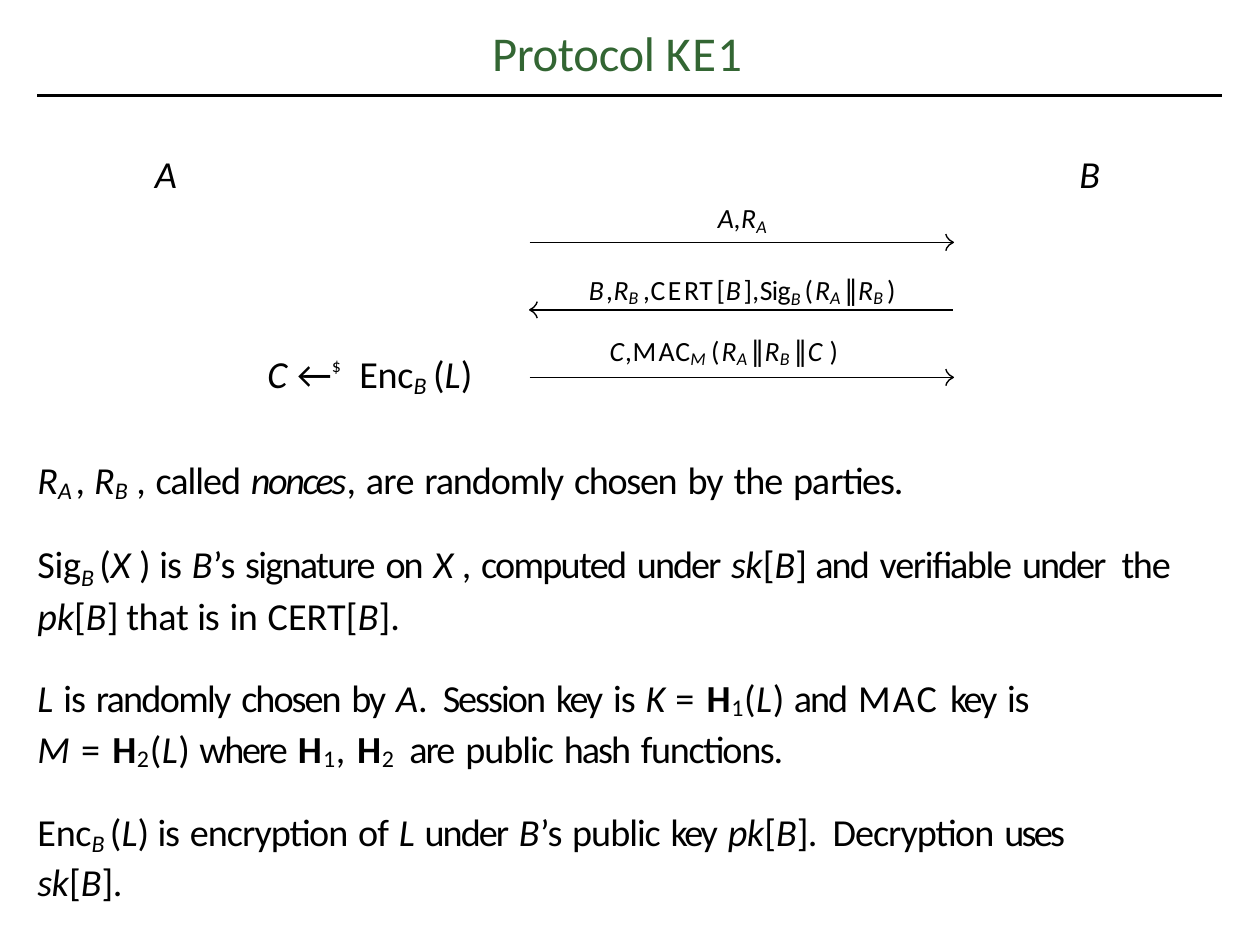
from itertools import groupby

from pptx import Presentation
from pptx.dml.color import RGBColor
from pptx.enum.shapes import MSO_CONNECTOR
from pptx.enum.text import PP_ALIGN
from pptx.oxml.ns import qn
from pptx.util import Inches, Pt
from lxml.etree import SubElement

COLORS = {"title": "336633", "ink": "000000"}
# style letter: (baseline shift in percent, size change in points)
SHIFTS = {"n": (-10, 1), "s": (-14, 1), "d": (-18, 1), "u": (51, -2)}
WORD_GAP = 0.3  # letter spacing of the spaces between tightened words

presentation = Presentation()
presentation.slide_width = Pt(363)
presentation.slide_height = Pt(272.5)
slide = presentation.slides.add_slide(presentation.slide_layouts[6])
unit = Inches(0.01)  # grid step for columns and rows


def add_text(box, size, paragraphs, color="ink", indent=1, inset=1, align=PP_ALIGN.LEFT):
    """Add a text box; a paragraph is (space before, line spacing, runs) and a run is
    (text, letter spacing, style letters: i italic, b bold, or a key of SHIFTS)."""
    frame = slide.shapes.add_textbox(*[round(length * unit) for length in box]).text_frame
    layout = {"word_wrap": True, "margin_left": indent * unit, "margin_top": inset * unit,
              "margin_right": 0, "margin_bottom": 0}
    for name, value in layout.items():
        setattr(frame, name, value)
    for index, (before, line_spacing, runs) in enumerate(paragraphs):
        paragraph = frame.add_paragraph() if index else frame.paragraphs[0]
        paragraph.alignment = align
        paragraph.space_before = Pt(before)
        paragraph.line_spacing = line_spacing
        for text, spacing, *style in runs:
            letters = style[0] if style else ""
            shift, growth = next((SHIFTS[key] for key in letters if key in SHIFTS), (0, 0))
            formats = {"name": "Calibri", "size": Pt(size + growth),
                       "italic": "i" in letters, "bold": "b" in letters}
            for is_gap, characters in groupby(text, str.isspace):
                run = paragraph.add_run()
                run.text = "".join(characters)
                for name, value in formats.items():
                    setattr(run.font, name, value)
                run.font.color.rgb = RGBColor.from_string(COLORS[color])
                run_spacing = WORD_GAP if is_gap and spacing <= -0.2 else spacing
                properties = run._r.get_or_add_rPr()
                properties.set("spc", str(round(run_spacing * 100)))
                if shift:
                    properties.set("baseline", str(shift * 1000))


def add_line(start, end, row, weight):
    line = slide.shapes.add_connector(
        MSO_CONNECTOR.STRAIGHT, *[round(n * unit) for n in (start, row, end, row)])
    line.line.width = Pt(weight)
    line.line.color.rgb = RGBColor.from_string(COLORS["ink"])
    SubElement(line._element.spPr, qn("a:effectLst"))


# Title and rule
add_text((196, 6, 113, 25), 14, [(0, 1, [("Protocol ", -0.1), ("KE1", 0.4)])],
         color="title", inset=3)
add_line(15, 489, 38.2, 1)

# Parties
for party, left in (("A", 61), ("B", 431)):
    add_text((left, 59, 13, 20), 11, [(0, 1, [(party, -0.1, "i")])])

# Message arrows, each with a curved open head
arrow_left, arrow_right, first_row, row_step = 212, 381.5, 97, 27
barb = [(-3, -3.3), (-2.6, -2.2), (-1.6, -1), (0, 0)]
head_curve = barb + [(x, -y) for x, y in reversed(barb[:-1])]
for index, direction in enumerate((1, -1, 1)):
    row = first_row + index * row_step
    add_line(arrow_left, arrow_right, row, 0.4)
    tip = arrow_right if direction > 0 else arrow_left
    points = [(round((tip + direction * x) * unit), round((row + y) * unit))
              for x, y in head_curve]
    builder = slide.shapes.build_freeform(*points[0])
    builder.add_line_segments(points[1:], close=False)
    head = builder.convert_to_shape()
    head.shadow.inherit = False
    head.fill.background()
    head.line.width = Pt(0.4)
    head.line.color.rgb = RGBColor.from_string(COLORS["ink"])

# Message labels
nonce_pair = [("(", 0.6), ("R", -0.3, "i"), ("A", 1, "is"), ("∥", -0.4),
              ("R", -0.3, "i"), ("B ", 0, "is")]
add_text((218, 77, 158, 42), 8, [
    (0, 1, [("A,R", 0, "i"), ("A", 0, "is")]),
    (9.3, 1, [("B", 0.7, "i"), (",", -0.1, "i"), ("R", -0.3, "i"), ("B", 1.5, "is"),
              (",", -0.1, "i"), ("CE", 0.7), ("R", -0.1), ("T", 1.1), ("[", 0.2),
              ("B", 0.7, "i"), ("]", 0.2), (",", -0.1, "i"), ("Sig", -0.2),
              ("B ", 0, "id"), *nonce_pair, (")", 0.6)]),
], indent=0, inset=2, align=PP_ALIGN.CENTER)
add_text((240, 131, 113, 15), 8, [
    (0, 1, [("C", 0.4, "i"), (",", -0.1, "i"), ("M", 0.6), ("A", 0.2), ("C", -0.4),
            ("M ", 0.2, "is"), *nonce_pair, ("∥", -0.4), ("C ", -0.4, "i"), (")", 0.6)]),
], indent=4)
add_text((103, 138, 97, 20), 11, [
    (0, 1, [("C ", -1, "i"), ("←", -4.3), ("$", -0.3, "u"), (" ", 4.2, "u"), ("Enc", -0.1),
            ("B ", 0.1, "is"), ("(", -0.1), ("L", -0.3, "i"), (")", 0)]),
], indent=4)

# Explanation
bracketed_b = [("[", -0.1), ("B", -0.1, "i")]
add_text((11, 180, 482, 171), 11, [
    (0, 1, [("R", -0.9, "i"), ("A", 1.2, "is"), (", ", -0.1, "i"), ("R", -0.9, "i"),
            ("B ", 0.4, "is"), (", called ", -0.3), ("nonces", -0.7, "i"), (", ", -0.3),
            ("are ", -0.2), ("randomly ", -0.35), ("chosen ", -0.4), ("by ", -0.3),
            ("the ", -0.3), ("pa", -0.4), ("rties.", -0.3)]),
    (8.9, 1.03, [("Sig", -0.1), ("B ", -0.1, "id"), ("(", -0.1), ("X ", -0.1, "i"),
                 (") ", 0), ("is ", -0.3), ("B", 0.1, "i"), ("’s ", 0.1),
                 ("signature ", -0.5), ("on ", -0.6), ("X ", -0.1, "i"), (", ", -0.3),
                 ("computed ", -0.5), ("under ", -0.6), ("sk", -0.2, "i"), *bracketed_b,
                 ("] ", -0.1), ("and ", -0.6), ("verifiable ", -0.4), ("under", -0.6),
                 (" ", 1.8), ("the ", -0.4), ("pk", -0.1, "i"), *bracketed_b,
                 ("] that ", -0.1), ("is ", -0.3), ("in ", -0.2), ("CERT[", 0),
                 ("B", 0, "i"), ("].", 0)]),
    (9.3, 1, [("L ", -0.2, "i"), ("is ", -0.3), ("randomly ", -0.5), ("chosen ", -0.6),
              ("by ", -0.7), ("A", -0.2, "i"), (".", -0.2), (" ", 1.8), ("Session ", -0.6),
              ("key ", -0.7), ("is ", -0.3), ("K ", 0.2, "i"), ("= ", 0.5),
              ("H", 0.1, "b"), ("1", 0.2, "n"), ("(", 0.1), ("L", 0.1, "i"), (") ", 0.1),
              ("and ", -0.6), ("MAC ", 0.6), ("key ", -0.7), ("is", -0.4)]),
    (0.3, 1, [("M ", 0.3, "i"), ("= ", 0.5), ("H", 0.1, "b"), ("2", 0.2, "n"), ("(", 0.1),
              ("L", 0.1, "i"), (") ", 0.1), ("where ", -0.7), ("H", 0.3, "b"),
              ("1", 0.4, "n"), (", ", 0.3, "i"), ("H", 0.2, "b"), ("2", 0.4, "n"),
              (" ", 2.4, "n"), ("are ", -0.6), ("public ", -0.3), ("hash ", -0.6),
              ("functions.", -0.4)]),
    (9.3, 1, [("Enc", -0.1), ("B ", -0.1, "is"), ("(", -0.1), ("L", -0.1, "i"),
              (") ", -0.1), ("is encryption of ", -0.3), ("L ", -0.2, "i"),
              ("under ", -0.6), ("B", 0.1, "i"), ("’s ", 0.1), ("public ", -0.3),
              ("key ", -0.7), ("pk", -0.2, "i"), *bracketed_b, ("].", -0.2), (" ", 1.8),
              ("Decryption ", -0.3), ("uses", -0.8)]),
    (0.3, 1, [("sk", -0.2, "i"), *bracketed_b, ("].", -0.2)]),
], indent=4)

presentation.save("out.pptx")
